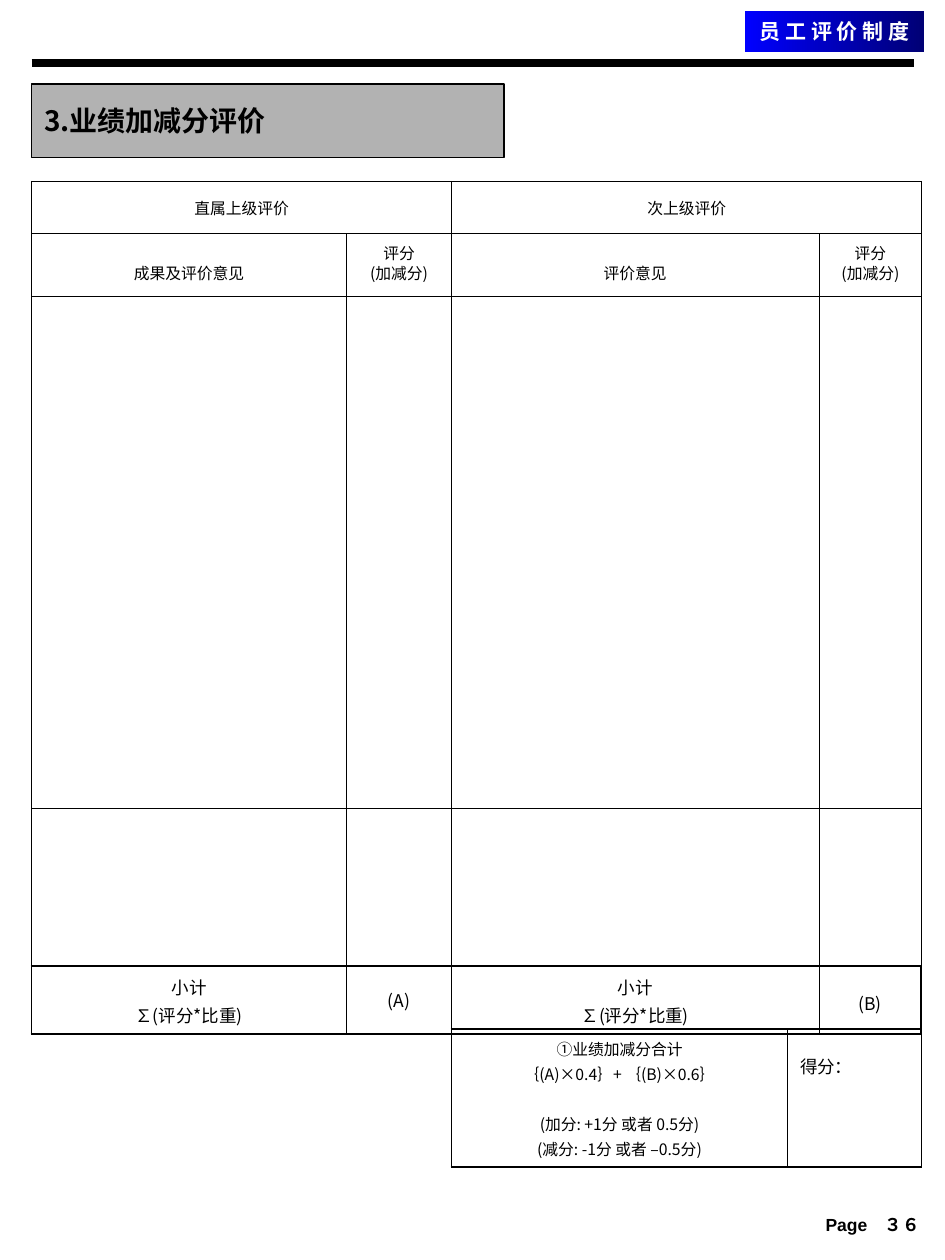
from lxml import etree
from pptx import Presentation
from pptx import util as u
from pptx.dml.color import RGBColor
from pptx.enum import shapes, text
from pptx.oxml import ns

COLUMNS, ROWS = 90, 120
WIDTH, HEIGHT = u.Inches(7.5), u.Inches(10)
SANS_KR, SANS_SC = "Noto Sans CJK KR", "Noto Sans CJK SC"
LEFT, CENTER, RIGHT = text.PP_ALIGN.LEFT, text.PP_ALIGN.CENTER, text.PP_ALIGN.RIGHT
TOP, MIDDLE, BOTTOM = text.MSO_ANCHOR.TOP, text.MSO_ANCHOR.MIDDLE, text.MSO_ANCHOR.BOTTOM
THIN, THICK = 0.45, 1.08


def across(columns):
    """Turn grid columns into a length."""
    return round(WIDTH * columns / COLUMNS)


def down(rows):
    """Turn grid rows into a length."""
    return round(HEIGHT * rows / ROWS)


def area(box):
    """Turn a grid box into left, top, width and height."""
    left, top, width, height = box
    return across(left), down(top), across(width), down(height)


def color(code):
    """Return the colour for a hex string."""
    return RGBColor.from_string(code)


def write(frame, lines, size, face=SANS_KR, align=CENTER, spacing=1.0, before=0,
          ink="000000", bold=False):
    """Fill a text frame with one paragraph for each line."""
    for index, line in enumerate(lines):
        para = frame.paragraphs[0] if index == 0 else frame.add_paragraph()
        para.text = line
        para.alignment = align
        para.line_spacing = spacing
        para.space_before = u.Pt(before if index else 0)
        font = para.font
        font.size, font.name, font.bold = u.Pt(size), face, bold
        font.color.rgb = color(ink)
        for span in para.runs:
            properties = span.font
            properties.name = face
            east = etree.SubElement(properties._element, ns.qn("a:ea"))
            east.set("typeface", face)


def border(cell, left, right, top, bottom):
    """Draw the four edges of a cell in black, with widths in points."""
    cell.fill.background()
    edges = zip(("lnL", "lnR", "lnT", "lnB"), (left, right, top, bottom))
    for index, (name, width) in enumerate(edges):
        edge = etree.Element(ns.qn(f"a:{name}"), w=str(u.Pt(width)))
        fill = etree.SubElement(edge, ns.qn("a:solidFill"))
        etree.SubElement(fill, ns.qn("a:srgbClr"), val="000000")
        cell._tc.get_or_add_tcPr().insert(index, edge)


def add_grid(page, box, columns, rows, outer):
    """Add a plain ruled table whose outside edges have the given width."""
    table = page.shapes.add_table(len(rows), len(columns), *area(box)).table
    table.first_row = table.horz_banding = False
    for column, width in zip(table.columns, columns):
        column.width = across(width)
    for row, height in zip(table.rows, rows):
        row.height = down(height)
    for y in range(len(rows)):
        for x in range(len(columns)):
            border(table.cell(y, x),
                   outer if x == 0 else THIN,
                   outer if x == len(columns) - 1 else THIN,
                   outer if y == 0 else THIN,
                   outer if y == len(rows) - 1 else THIN)
    return table


def fill_cell(cell, lines, size, anchor=MIDDLE, **style):
    """Write the lines into a cell and anchor them."""
    cell.vertical_anchor = anchor
    write(cell.text_frame, lines, size, **style)


def add_header(page, box):
    """Add the banner at the right and the rule under it."""
    left, top, width, height = box
    rule = page.shapes.add_connector(
        shapes.MSO_CONNECTOR.STRAIGHT, across(left), down(top + height),
        across(left + width), down(top + height))
    rule.line.color.rgb = color("000000")
    rule.line.width = u.Pt(4.5)
    etree.SubElement(rule._element.spPr, ns.qn("a:effectLst"))
    banner = page.shapes.add_shape(shapes.MSO_SHAPE.RECTANGLE,
                                   *area((left + width - 16, top, 17, 4)))
    banner.shadow.inherit = False
    banner.fill.gradient()
    banner.fill.gradient_angle = 180
    for stop, code in zip(banner.fill.gradient_stops, ("000075", "0000FF")):
        stop.color.rgb = color(code)
    banner.line.fill.background()
    banner.text_frame.word_wrap = False
    banner.text_frame.vertical_anchor = MIDDLE
    write(banner.text_frame, ["员 工 评 价 制 度"], 12, SANS_SC, ink="FFFFFF", bold=True)


def add_title(page, box):
    """Turn the title placeholder into a grey rounded panel."""
    title = page.shapes.title
    title.left, title.top, title.width, title.height = area(box)
    shape = etree.SubElement(title._element.spPr, ns.qn("a:prstGeom"), prst="roundRect")
    etree.SubElement(shape, ns.qn("a:avLst"))
    title.fill.solid()
    title.fill.fore_color.rgb = color("B2B2B2")
    title.line.color.rgb = color("000000")
    title.line.width = u.Pt(0.75)
    title.text_frame.word_wrap = False
    title.text_frame.vertical_anchor = MIDDLE
    write(title.text_frame, ["3.业绩加减分评价"], 16, SANS_SC, LEFT, bold=True)


def add_review(page, box):
    """Add the review form for both superiors."""
    table = add_grid(page, box, (30, 10, 35, 9.8), (5, 6, 48.75, 15), THIN)
    reviews = (("直属上级评价", "成果及评价意见"), ("次上级评价", "评价意见"))
    for x, (reviewer, opinion) in zip((0, 2), reviews):
        table.cell(0, x).merge(table.cell(0, x + 1))
        fill_cell(table.cell(0, x), [reviewer], 9)
        fill_cell(table.cell(1, x), [opinion], 9, BOTTOM)
        table.cell(1, x).margin_bottom = u.Inches(0.1)
        fill_cell(table.cell(1, x + 1), ["评分", "(加减分)"], 9, spacing=0.7, before=2.2)


def add_subtotal(page, box):
    """Add the row of subtotals."""
    table = add_grid(page, box, (30, 10, 35, 9.7), (box[3],), THICK)
    for x, mark, spacing in ((0, "(A)", 1.6), (2, "(B)", 1.7)):
        fill_cell(table.cell(0, x), ["小计", "∑(评分*比重)"], 10, TOP, spacing=1.1)
        fill_cell(table.cell(0, x + 1), [mark], 10, TOP, spacing=spacing)


def add_total(page, box):
    """Add the total formula and the score field."""
    table = add_grid(page, box, (32, 12.75), (box[3],), THICK)
    formula = table.cell(0, 0)
    fill_cell(formula, ["①业绩加减分合计", "｛(A)×0.4｝+ ｛(B)×0.6｝",
                        "(加分: +1分 或者 0.5分)", "(减分: -1分 或者 –0.5分)"],
              9, TOP, spacing=1.1)
    formula.text_frame.paragraphs[2].space_before = u.Pt(14)
    fill_cell(table.cell(0, 1), ["得分："], 10, TOP, align=LEFT, spacing=1.7)


def add_footer(page, box):
    """Add the page number."""
    footer = page.shapes.add_textbox(*area(box))
    footer.text_frame.word_wrap = True
    write(footer.text_frame, ["Page　３６"], 10, "Arial", RIGHT, bold=True)


def main():
    """Build the evaluation form and save it."""
    deck = Presentation()
    deck.slide_width, deck.slide_height = WIDTH, HEIGHT
    page = deck.slides.add_slide(deck.slide_layouts[5])
    add_header(page, (3, 1, 84, 5))
    add_review(page, (3, 17.25, 84.8, 74.75))
    add_subtotal(page, (3, 92, 84.7, 5.65))
    add_total(page, (43, 98, 44.75, 12))
    add_title(page, (3, 8, 45, 7))
    add_footer(page, (70, 115, 18.75, 3))
    deck.save("out.pptx")


if __name__ == "__main__":
    main()
